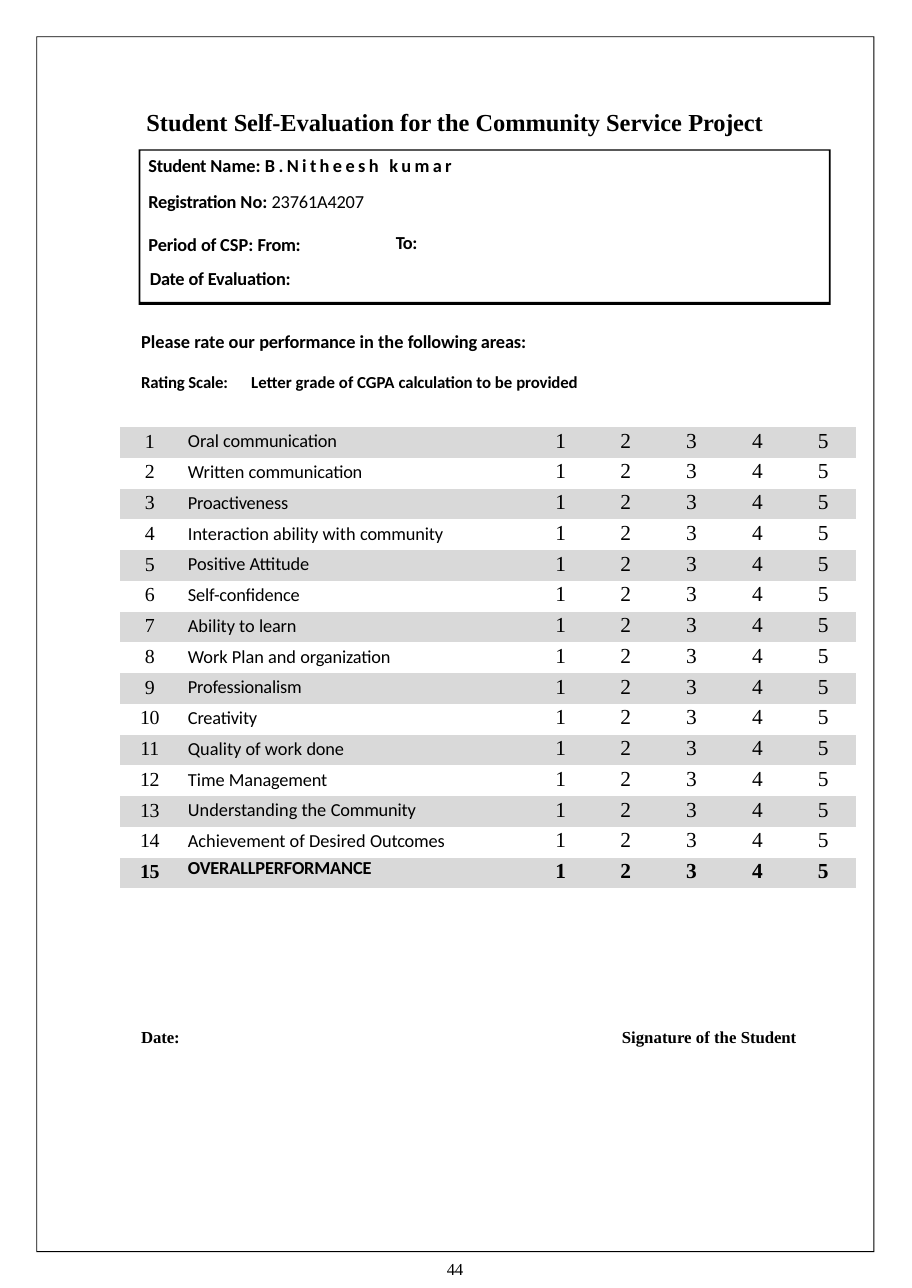
from dataclasses import dataclass
from typing import NamedTuple, Optional

from lxml.etree import SubElement
from pptx import Presentation
from pptx.dml.color import RGBColor
from pptx.enum.text import MSO_ANCHOR, MSO_AUTO_SIZE, PP_ALIGN
from pptx.oxml.ns import qn
from pptx.util import Cm, Pt


@dataclass(frozen=True)
class Theme:
    ink: RGBColor = RGBColor(0, 0, 0)
    band: RGBColor = RGBColor(0xD9, 0xD9, 0xD9)
    serif: str = "Times New Roman"
    sans: str = "Calibri"
    title: float = 16
    rating: float = 14
    number: float = 13
    text: float = 12
    small: float = 11


THEME = Theme()
NO_GRID_STYLE = "{2D5ABB26-0587-4C30-8999-92F81FD0307C}"


class Piece(NamedTuple):
    text: str
    spacing: float = 0
    bold: bool = True


class Line(NamedTuple):
    pieces: list[Piece]
    before: float = 1
    indent: float = 0
    size: float = THEME.text
    font: str = THEME.sans
    align: PP_ALIGN = PP_ALIGN.LEFT
    right_indent: float = 0
    tab: Optional[float] = None
    exact: Optional[float] = None


class Box(NamedTuple):
    left: float
    top: float
    right: float
    bottom: float


class Block(NamedTuple):
    left: float
    top: float
    width: float
    height: float
    lines: list[Line]
    inset: float = 0.03


def write_line(paragraph, line: Line) -> None:
    paragraph.alignment = line.align
    paragraph.space_before = Pt(line.before)
    paragraph.space_after = Pt(0)
    if line.exact:
        paragraph.line_spacing = Pt(line.exact)
    properties = paragraph._p.get_or_add_pPr()
    properties.set("marL", str(Cm(line.indent)))
    properties.set("marR", str(Cm(line.right_indent)))
    properties.set("indent", "0")
    SubElement(properties, qn("a:buNone"))
    if line.tab:
        stops = SubElement(properties, qn("a:tabLst"))
        SubElement(stops, qn("a:tab"), pos=str(Cm(line.tab)), algn="l")
    for piece in line.pieces:
        run = paragraph.add_run()
        run.text = piece.text
        run.font.name = line.font
        run.font.size = Pt(line.size)
        run.font.bold = piece.bold
        run.font.color.rgb = THEME.ink
        run._r.get_or_add_rPr().set("spc", str(round(piece.spacing * 100)))


def fill_block(shape, block: Block) -> None:
    shape.left, shape.top = Cm(block.left), Cm(block.top)
    shape.width, shape.height = Cm(block.width), Cm(block.height)
    frame = shape.text_frame
    frame.word_wrap = True
    frame.auto_size = MSO_AUTO_SIZE.NONE
    frame.vertical_anchor = MSO_ANCHOR.TOP
    frame.margin_left = frame.margin_right = frame.margin_bottom = 0
    frame.margin_top = Cm(block.inset)
    for index, line in enumerate(block.lines):
        write_line(frame.add_paragraph() if index else frame.paragraphs[0], line)


def fill_cell(cell, line: Line, inset: float, shaded: bool) -> None:
    cell.margin_left = cell.margin_right = cell.margin_bottom = 0
    cell.margin_top = Cm(inset)
    if shaded:
        cell.fill.solid()
        cell.fill.fore_color.rgb = THEME.band
    else:
        cell.fill.background()
    write_line(cell.text_frame.paragraphs[0], line)


def criterion_pieces(criterion: str, bold: bool) -> list[Piece]:
    head, gap, last = criterion.rpartition(" ")
    opening = [Piece(head + gap, 0, bold)] if head else []
    return opening + [Piece(last, -0.1, bold)]


def draw_frames(slide, boxes: list[Box]) -> None:
    """Each frame is an outer box followed by its inner box, wound the other way."""
    builder = None
    for index, box in enumerate(boxes):
        left, top, right, bottom = map(Cm, box)
        corners = [(right, top), (right, bottom), (left, bottom)]
        if index % 2:
            corners.reverse()
        if builder is None:
            builder = slide.shapes.build_freeform(left, top)
        else:
            builder.move_to(left, top)
        builder.add_line_segments(corners, close=True)
    frames = builder.convert_to_shape()
    frames.shadow.inherit = False
    frames.fill.solid()
    frames.fill.fore_color.rgb = THEME.ink
    frames.line.fill.background()


def draw_ratings(slide, criteria: list[str], widths: list[float]) -> None:
    row_height = 0.71
    table = slide.shapes.add_table(
        len(criteria), len(widths), Cm(2.77), Cm(9.86),
        Cm(sum(widths)), Cm(row_height * len(criteria))).table
    table.first_row = table.horz_banding = False
    table._tbl.tblPr.find(qn("a:tableStyleId")).text = NO_GRID_STYLE
    for column, width in zip(table.columns, widths):
        column.width = Cm(width)
    for index, criterion in enumerate(criteria):
        table.rows[index].height = Cm(row_height)
        overall = index == len(criteria) - 1
        shaded = index % 2 == 0
        number = Line([Piece(str(index + 1), -0.2 if index > 8 else -0.5, overall)], 1.9, 0.14,
                      THEME.number, THEME.serif, PP_ALIGN.CENTER)
        fill_cell(table.cell(index, 0), number, 0.08, shaded)
        label = Line(criterion_pieces(criterion, overall), 0.1 if overall else 2.2, 0.33)
        fill_cell(table.cell(index, 1), label, 0 if overall else 0.08, shaded)
        for grade in range(1, 6):
            first = grade == 1
            rating = Line([Piece(str(grade), -0.5, overall)], 1.2, 0, THEME.rating, THEME.serif,
                          PP_ALIGN.RIGHT if first else PP_ALIGN.CENTER, 0.62 if first else 0)
            fill_cell(table.cell(index, grade + 1), rating, 0.05, shaded)


# Content
HEADING = Block(3.35, 2.44, 14.4, 0.74, [
    Line([Piece("Student "), Piece("Self-", -0.1),
          Piece("Evaluation for the Community Service "), Piece("Project", -0.1)],
         0.9, 0.03, THEME.title, THEME.serif)])
INSTRUCTIONS = Block(3.23, 6.15, 11.48, 2.95, [
    Line([Piece("Date ", -0.2), Piece("of Evaluation:", -0.1)], 1, 0.23),
    Line([Piece("Please rate our "), Piece("performance ", -0.1),
          Piece("in the "), Piece("following areas:", -0.1)], 26.4, 0.03),
    Line([Piece("Rating Scale:", -0.1), Piece("\tLetter grade of CGPA"),
          Piece(" calculation ", -0.1), Piece("to be "), Piece("provided", -0.1)],
         13.2, 0.03, THEME.small, tab=3.84)])
FIELDS = [
    Block(3.43, 3.53, 7.6, 2.39, [
        Line([Piece("Student ", -0.2), Piece("Name: "), Piece("B.Nitheesh kumar", 2.2)]),
        Line([Piece("Registration ", -0.2), Piece("No: "),
              Piece("23761A4207", -0.1, False)], 9.2),
        Line([Piece("Period ", -0.1), Piece("of ", -0.2), Piece("CSP: "),
              Piece("From:", -0.2)], 13.8)]),
    Block(9.14, 5.31, 0.6, 0.58, [Line([Piece("To:", -0.2)])]),
    Block(3.23, 23.67, 1, 0.53, [
        Line([Piece("Date:", -0.1)], 1, 0.03, THEME.small, THEME.serif)]),
    Block(14.33, 23.67, 4.15, 0.53, [
        Line([Piece("Signature of the "), Piece("Student", -0.1)],
             1, 0.03, THEME.small, THEME.serif)]),
    Block(10.29, 29.06, 0.71, 0.68, [
        Line([Piece("44", -0.2, False)], 0, 0.03, THEME.small, THEME.serif, exact=13.1)], 0),
]
CRITERIA = [
    "Oral communication", "Written communication", "Proactiveness",
    "Interaction ability with community", "Positive Attitude", "Self-confidence",
    "Ability to learn", "Work Plan and organization", "Professionalism", "Creativity",
    "Quality of work done", "Time Management", "Understanding the Community",
    "Achievement of Desired Outcomes", "OVERALLPERFORMANCE",
]
FRAMES = [
    Box(0.84, 0.84, 20.19, 28.91), Box(0.86, 0.86, 20.17, 28.89),
    Box(3.2, 3.45, 19.18, 7.04), Box(3.24, 3.48, 19.14, 6.97),
]


def main() -> None:
    deck = Presentation()
    deck.slide_width, deck.slide_height = Cm(21.06), Cm(29.74)
    slide = deck.slides.add_slide(deck.slide_layouts[1])

    # Heading, ratings and frames
    fill_block(slide.shapes.title, HEADING)
    draw_ratings(slide, CRITERIA, [1.24, 7.68, 2] + [1.52] * 4)
    draw_frames(slide, FRAMES)

    # Form fields and instructions
    fill_block(slide.placeholders[1], INSTRUCTIONS)
    for field in FIELDS:
        fill_block(slide.shapes.add_textbox(0, 0, 0, 0), field)
    deck.save("out.pptx")


if __name__ == "__main__":
    main()
